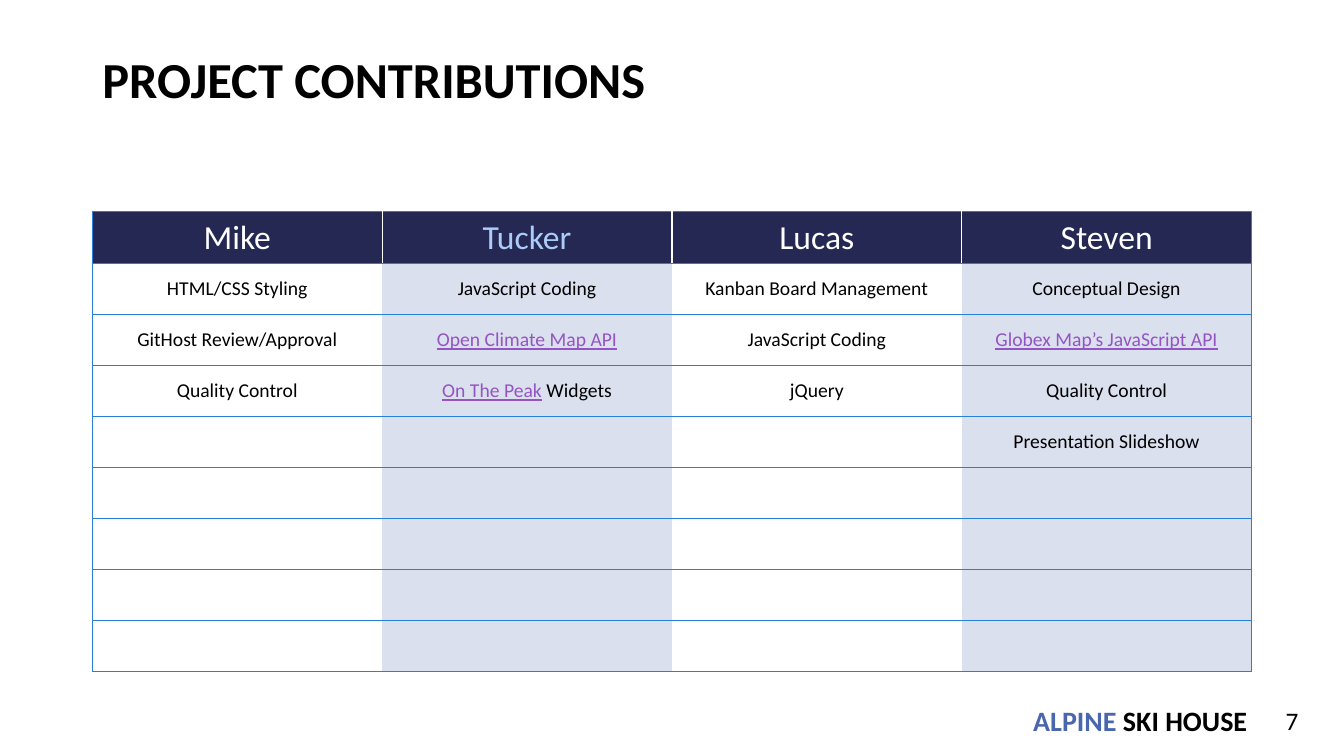
"""Build the project contributions slide with its table of tasks per person."""
from pptx import Presentation
from pptx.dml.color import RGBColor
from pptx.enum.text import MSO_ANCHOR, PP_ALIGN
from pptx.oxml.ns import qn
from pptx.util import Pt
from lxml import etree

LEFT, CENTER, RIGHT = PP_ALIGN.LEFT, PP_ALIGN.CENTER, PP_ALIGN.RIGHT
TOP, MIDDLE = MSO_ANCHOR.TOP, MSO_ANCHOR.MIDDLE
TITLE_ONLY = 5
FONT = "Calibri"
BLACK, WHITE, NAVY, BLUE = "000000", "FFFFFF", "242852", "4A66AC"
TINT, LINE, LINKED, SKY = "DBE0EE", "297FD5", "9454C3", "ACCBF9"

TITLE = "PROJECT CONTRIBUTIONS"
BRAND = [("ALPINE", BLUE), (" SKI HOUSE", BLACK)]
PAGE_NUMBER = "7"
PEOPLE = [("Mike", WHITE), ("Tucker", SKY), ("Lucas", WHITE), ("Steven", WHITE)]
TASKS = [
    ["HTML/CSS Styling", "GitHost Review/Approval", "Quality Control"],
    ["JavaScript Coding", [("Open Climate Map API", LINKED)],
     [("On The Peak", LINKED), (" Widgets", BLACK)]],
    ["Kanban Board Management", "JavaScript Coding", "jQuery"],
    ["Conceptual Design", [("Globex Map’s JavaScript API", LINKED)],
     "Quality Control", "Presentation Slideshow"],
]
BODY_ROWS = 8
TABLE_LEFT, TABLE_TOP, COLUMN_WIDTH = 66, 151.2, 207
HEADER_HEIGHT, ROW_HEIGHT = 37.2, 36.4


def color(value):
    return RGBColor.from_string(value)


def write(frame, parts, size, align, bold=False):
    para = frame.paragraphs[0]
    para.alignment = align
    for text, tone in parts:
        span = para.add_run()
        span.text = text
        span.font.name, span.font.size, span.font.bold = FONT, Pt(size), bold
        span.font.underline = tone == LINKED
        span.font.color.rgb = color(tone)


def add_label(page, area, parts, size, align, bold, wrap, anchor, inset):
    box = page.shapes.add_textbox(*map(Pt, area))
    frame = box.text_frame
    frame.word_wrap, frame.vertical_anchor = wrap, anchor
    frame.margin_left = frame.margin_right = Pt(inset)
    frame.margin_top = frame.margin_bottom = Pt(inset / 2)
    write(frame, parts, size, align, bold)


def set_border(cell, side, tone, width):
    props = cell._tc.get_or_add_tcPr()
    line = etree.SubElement(props, qn("a:ln" + side), w=str(int(Pt(width))))
    if tone is None:
        etree.SubElement(line, qn("a:noFill"))
    else:
        fill = etree.SubElement(line, qn("a:solidFill"))
        etree.SubElement(fill, qn("a:srgbClr"), val=tone)


def style_cell(cell, row, column):
    inner = (WHITE, 1) if row == 0 else (None, 0)
    outer = (LINE, 0.5)
    set_border(cell, "L", *(outer if column == 0 else inner))
    set_border(cell, "R", *(outer if column == len(PEOPLE) - 1 else inner))
    set_border(cell, "T", *outer)
    set_border(cell, "B", *outer)
    cell.fill.solid()
    body_fill = TINT if column % 2 else WHITE
    cell.fill.fore_color.rgb = color(NAVY if row == 0 else body_fill)
    cell.vertical_anchor = MIDDLE
    cell.margin_left = cell.margin_right = Pt(5)
    cell.margin_top = cell.margin_bottom = Pt(3)


def add_contributions(page):
    width = COLUMN_WIDTH * len(PEOPLE)
    height = HEADER_HEIGHT + ROW_HEIGHT * BODY_ROWS
    area = map(Pt, (TABLE_LEFT, TABLE_TOP, width, height))
    table = page.shapes.add_table(BODY_ROWS + 1, len(PEOPLE), *area).table
    table.first_row = table.horz_banding = False
    for index, row in enumerate(table.rows):
        row.height = Pt(ROW_HEIGHT if index else HEADER_HEIGHT)
    for column, (person, tasks) in enumerate(zip(PEOPLE, TASKS)):
        table.columns[column].width = Pt(COLUMN_WIDTH)
        for row in range(BODY_ROWS + 1):
            style_cell(table.cell(row, column), row, column)
        write(table.cell(0, column).text_frame, [person], 24, CENTER)
        for row, task in enumerate(tasks, 1):
            parts = [(task, BLACK)] if isinstance(task, str) else task
            write(table.cell(row, column).text_frame, parts, 14, CENTER)


def main():
    deck = Presentation()
    deck.slide_width, deck.slide_height = Pt(960), Pt(540)
    page = deck.slides.add_slide(deck.slide_layouts[TITLE_ONLY])
    title = page.shapes.title
    title.left, title.top, title.width, title.height = map(Pt, (66, 34, 828, 50))
    title.text_frame.vertical_anchor = MIDDLE
    write(title.text_frame, [(TITLE, BLACK)], 36, LEFT, True)
    title.text_frame.paragraphs[0].line_spacing = 0.9
    add_contributions(page)
    add_label(page, (736.6, 501, 157, 27.4), BRAND, 20, LEFT, True, False, MIDDLE, 1.4)
    add_label(page, (718.6, 500.4, 216, 28.8), [(PAGE_NUMBER, BLACK)],
              18, RIGHT, False, True, TOP, 7.2)
    deck.save("out.pptx")


if __name__ == "__main__":
    main()
